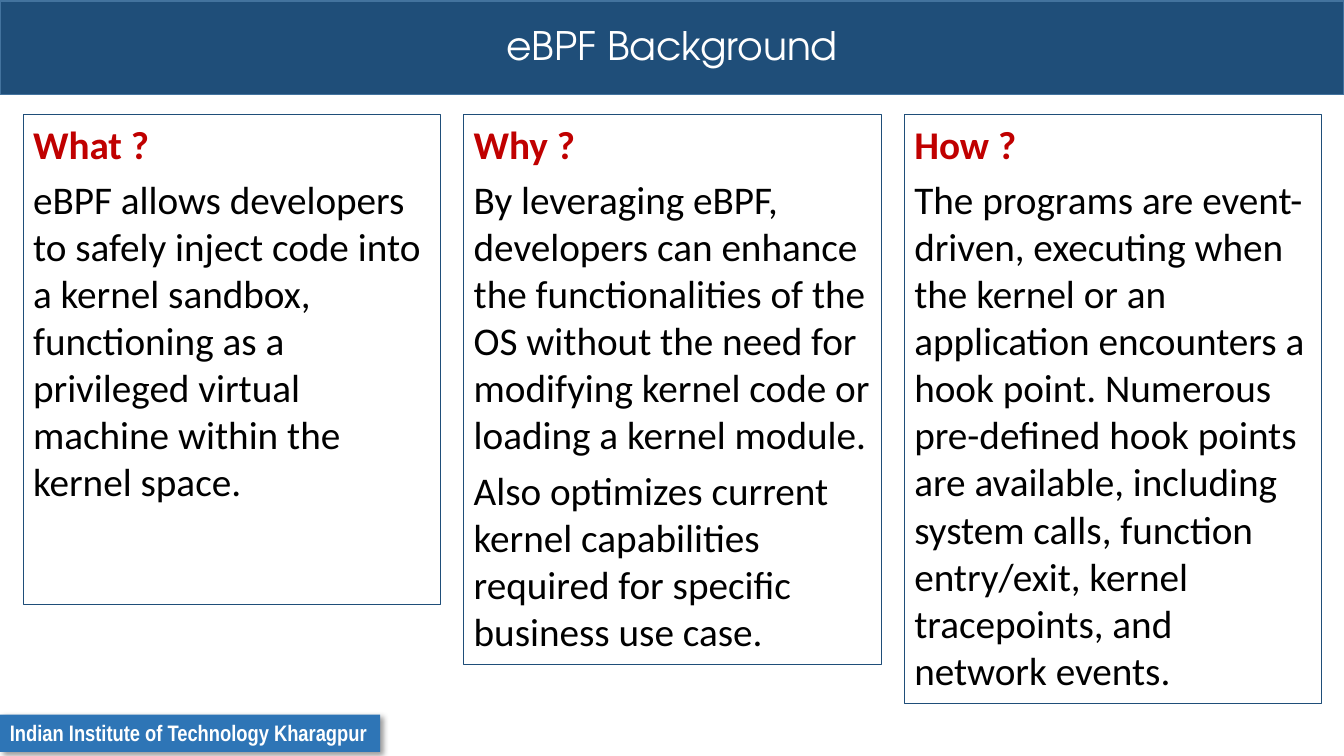
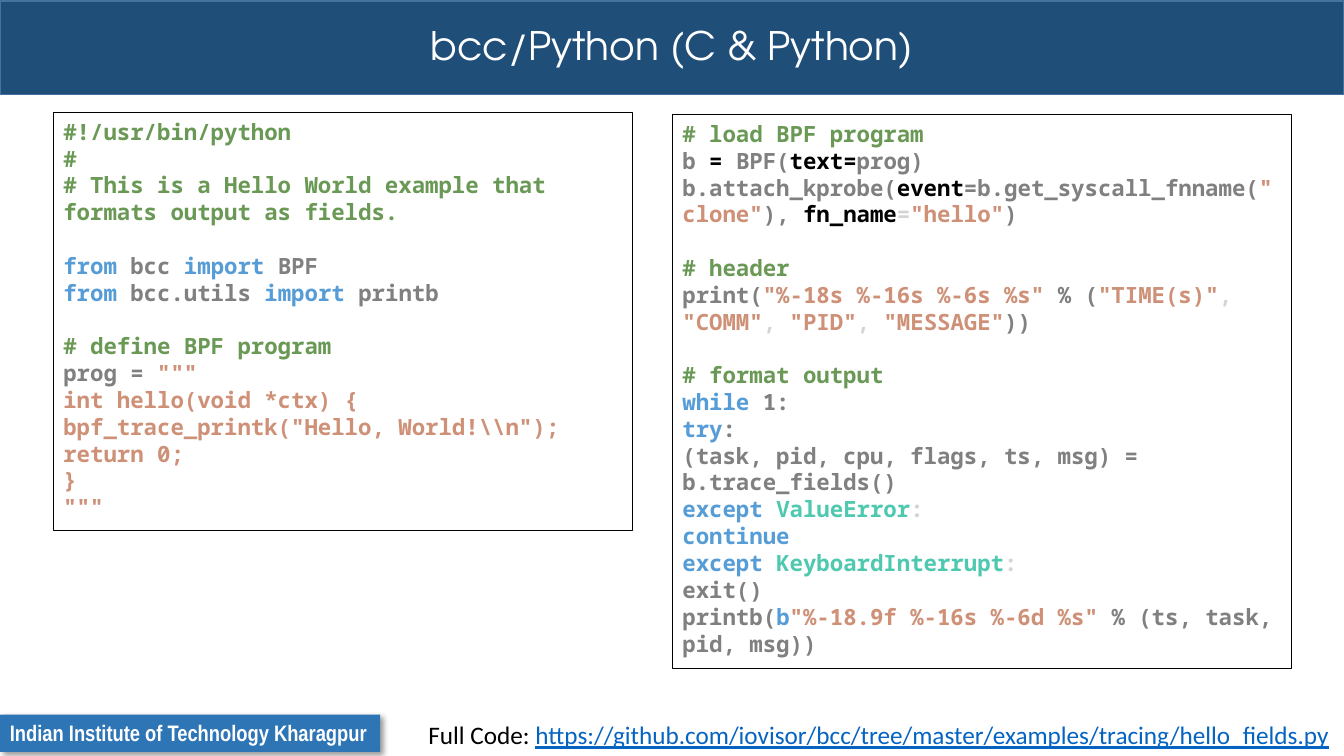
import pptx
import pptx.util
import pptx.dml.color
import pptx.enum.shapes
import pptx.enum.text
import pptx.oxml

Inches, Pt = pptx.util.Inches, pptx.util.Pt
RGBColor = pptx.dml.color.RGBColor
ALIGN = pptx.enum.text.PP_ALIGN
ANCHOR = pptx.enum.text.MSO_ANCHOR
RECT = pptx.enum.shapes.MSO_SHAPE.RECTANGLE

# Colours
NAVY = RGBColor(0x1F, 0x4E, 0x79)
STEEL = RGBColor(0x43, 0x73, 0x9E)
BLUE = RGBColor(0x2E, 0x75, 0xB6)
RED = RGBColor(0xC0, 0x00, 0x00)
LINK = RGBColor(0x05, 0x63, 0xC1)
BLACK = RGBColor(0x00, 0x00, 0x00)
WHITE = RGBColor(0xFF, 0xFF, 0xFF)

# Code colours
NOTE = RGBColor(0x6A, 0x99, 0x55)
WORD = RGBColor(0x56, 0x9C, 0xD6)
PLAIN = RGBColor(0x80, 0x80, 0x80)
QUOTE = RGBColor(0xCE, 0x91, 0x78)
TYPE = RGBColor(0x4E, 0xC9, 0xB0)
PALE = RGBColor(0xD4, 0xD4, 0xD4)

# Text formats
TITLE = dict(name="TeX Gyre Adventor", size=Pt(28))
FOOT = dict(name="Arial Narrow", size=Pt(16), bold=True)
HEAD = dict(name="Calibri", size=Pt(28), bold=True)
BODY = dict(name="Calibri", size=Pt(28), bold=False)
CODE = dict(name="Noto Sans Mono", size=Pt(16), bold=True)
SMALL = dict(name="Calibri", size=Pt(18))
UNDER = dict(SMALL, underline=True)

# Content
SCHOOL = "Indian Institute of Technology Kharagpur"

TOPICS = [
    ("What ?", 4.86, [
        "eBPF allows developers to safely inject code into a kernel sandbox, "
        "functioning as a privileged virtual machine within the kernel space."]),
    ("Why ?", 5.45, [
        "By leveraging eBPF, developers can enhance the functionalities of the OS "
        "without the need for modifying kernel code or loading a kernel module.",
        "Also optimizes current kernel capabilities required for specific "
        "business use case."]),
    ("How ?", 5.84, [
        "The programs are event-driven, executing when the kernel or an application "
        "encounters a hook point. Numerous pre-defined hook points are available, "
        "including system calls, function entry/exit, kernel tracepoints, and "
        "network events."]),
]

# Each block of code is a list of lines, each line a list of coloured parts
SETUP = [
    [
        [("#!/usr/bin/python", NOTE)],
        [("#", NOTE)],
        [("# This is a Hello World example that formats output as fields.", NOTE)],
    ], [
        [("from ", WORD), ("bcc ", PLAIN), ("import ", WORD), ("BPF", PLAIN)],
        [("from ", WORD), ("bcc.utils ", PLAIN), ("import ", WORD), ("printb", PLAIN)],
    ], [
        [("# define BPF program", NOTE)],
        [("prog = ", PLAIN), ('"""', QUOTE)],
        [("int hello(void *ctx) {", QUOTE)],
        [('bpf_trace_printk("Hello, World!\\\\n");', QUOTE)],
        [("return 0;", QUOTE)],
        [("}", QUOTE)],
        [('"""', QUOTE)],
    ],
]

USAGE = [
    [
        [("# load BPF program", NOTE)],
        [("b ", PLAIN), ("=", BLACK), (" BPF(", PLAIN), ("text=", BLACK),
         ("prog)", PLAIN)],
        [("b.attach_kprobe(", PLAIN), ("event", BLACK),
         ("=b.get_syscall_fnname(", PLAIN), ('"clone"', QUOTE), ("), ", PLAIN),
         ("fn_name", BLACK), ("=", PALE), ('"hello"', QUOTE), (")", PLAIN)],
    ], [
        [("# header", NOTE)],
        [("print(", PLAIN), ('"%-18s %-16s %-6s %s" ', QUOTE), ("% (", PLAIN),
         ('"TIME(s)"', QUOTE), (", ", PALE), ('"COMM"', QUOTE), (", ", PALE),
         ('"PID"', QUOTE), (", ", PALE), ('"MESSAGE"', QUOTE), ("))", PLAIN)],
    ], [
        [("# format output", NOTE)],
        [("while ", WORD), ("1:", PLAIN)],
        [("try", WORD), (":", PLAIN)],
        [("(task, pid, cpu, flags, ts, msg) = b.trace_fields()", PLAIN)],
        [("except ", WORD), ("ValueError", TYPE), (":", PALE)],
        [("continue", WORD)],
        [("except ", WORD), ("KeyboardInterrupt", TYPE), (":", PALE)],
        [("exit()", PLAIN)],
        [("printb(", PLAIN), ("b", WORD), ('"%-18.9f %-16s %-6d %s" ', QUOTE),
         ("% (ts, task, pid, msg))", PLAIN)],
    ],
]

PANES = [((0.53, 1.12, 5.74, 4.14), SETUP), ((6.67, 1.14, 6.14, 5.49), USAGE)]

SOURCE = [
    ("Full Code: ", BLACK, SMALL),
    ("https://github.com/iovisor/bcc/tree/master/examples/tracing/hello_fields.py",
     LINK, UNDER),
]

# Layout, in inches
WIDE, HIGH = 13.33, 7.5
BAND = (0, 0.01, WIDE, 0.93)
TAG = (0, 7.09, 3.77, 0.37)
LEFT, TOP, COL, GAP = 0.23, 1.14, 4.14, 0.23

SHADOW = (
    '<a:effectLst xmlns:a="http://schemas.openxmlformats.org/drawingml/2006/main">'
    '<a:outerShdw blurRad="50800" dist="38100" dir="2700000" algn="tl" '
    'rotWithShape="0"><a:srgbClr val="000000"><a:alpha val="40000"/></a:srgbClr>'
    '</a:outerShdw></a:effectLst>')


def add_box(slide, place, fill=None, line=None, width=0.75):
    box = slide.shapes.add_shape(RECT, *map(Inches, place))
    box.shadow.inherit = False
    for part, tint in ((box.fill, fill), (box.line.fill, line)):
        if tint is None:
            part.background()
        else:
            part.solid()
            part.fore_color.rgb = tint
    if line is not None:
        box.line.width = Pt(width)
    frame = box.text_frame
    frame.word_wrap = True
    frame.vertical_anchor = ANCHOR.TOP
    return box


def write(frame, lines, align=ALIGN.LEFT):
    """Fill a frame from (space before, [(text, colour, format)]) lines."""
    for i, (space, parts) in enumerate(lines):
        para = frame.add_paragraph() if i else frame.paragraphs[0]
        para.alignment = align
        para.space_before = Pt(space)
        for text, tint, style in parts:
            run = para.add_run()
            run.text = text
            run.font.color.rgb = tint
            for key, value in style.items():
                setattr(run.font, key, value)


def add_slide(deck, title):
    slide = deck.slides.add_slide(deck.slide_layouts[6])
    # Title band
    frame = add_box(slide, BAND, NAVY, STEEL, 1).text_frame
    frame.vertical_anchor = ANCHOR.MIDDLE
    write(frame, [(0, [(title, WHITE, TITLE)])], ALIGN.CENTER)
    frame.paragraphs[0].line_spacing = 0.9
    # Footer tag
    tag = add_box(slide, TAG, BLUE)
    tag.text_frame.word_wrap = False
    write(tag.text_frame, [(0, [(SCHOOL, WHITE, FOOT)])])
    props = tag.element.spPr
    props.replace(props.find(pptx.oxml.ns.qn("a:effectLst")),
                  pptx.oxml.parse_xml(SHADOW))
    return slide


def add_topics(deck):
    slide = add_slide(deck, "eBPF Background")
    for i, (head, tall, texts) in enumerate(TOPICS):
        box = add_box(slide, (LEFT + i * (COL + GAP), TOP, COL, tall), line=NAVY)
        lines = [(0, [(head, RED, HEAD)])]
        lines += [(6, [(text, BLACK, BODY)]) for text in texts]
        write(box.text_frame, lines)


def add_code(deck):
    slide = add_slide(deck, "bcc/Python (C & Python)")
    for place, blocks in PANES:
        # One line of space parts the blocks
        lines = [(19 if b and not n else 0, [(text, tint, CODE) for text, tint in line])
                 for b, block in enumerate(blocks) for n, line in enumerate(block)]
        write(add_box(slide, place, line=BLACK).text_frame, lines)
    # Source line
    note = slide.shapes.add_textbox(*map(Inches, (4.15, 7.09, 9.19, 0.4)))
    note.text_frame.word_wrap = True
    write(note.text_frame, [(0, SOURCE)])


def main():
    deck = pptx.Presentation()
    deck.slide_width, deck.slide_height = Inches(WIDE), Inches(HIGH)
    add_topics(deck)
    add_code(deck)
    deck.save("out.pptx")


if __name__ == "__main__":
    main()
